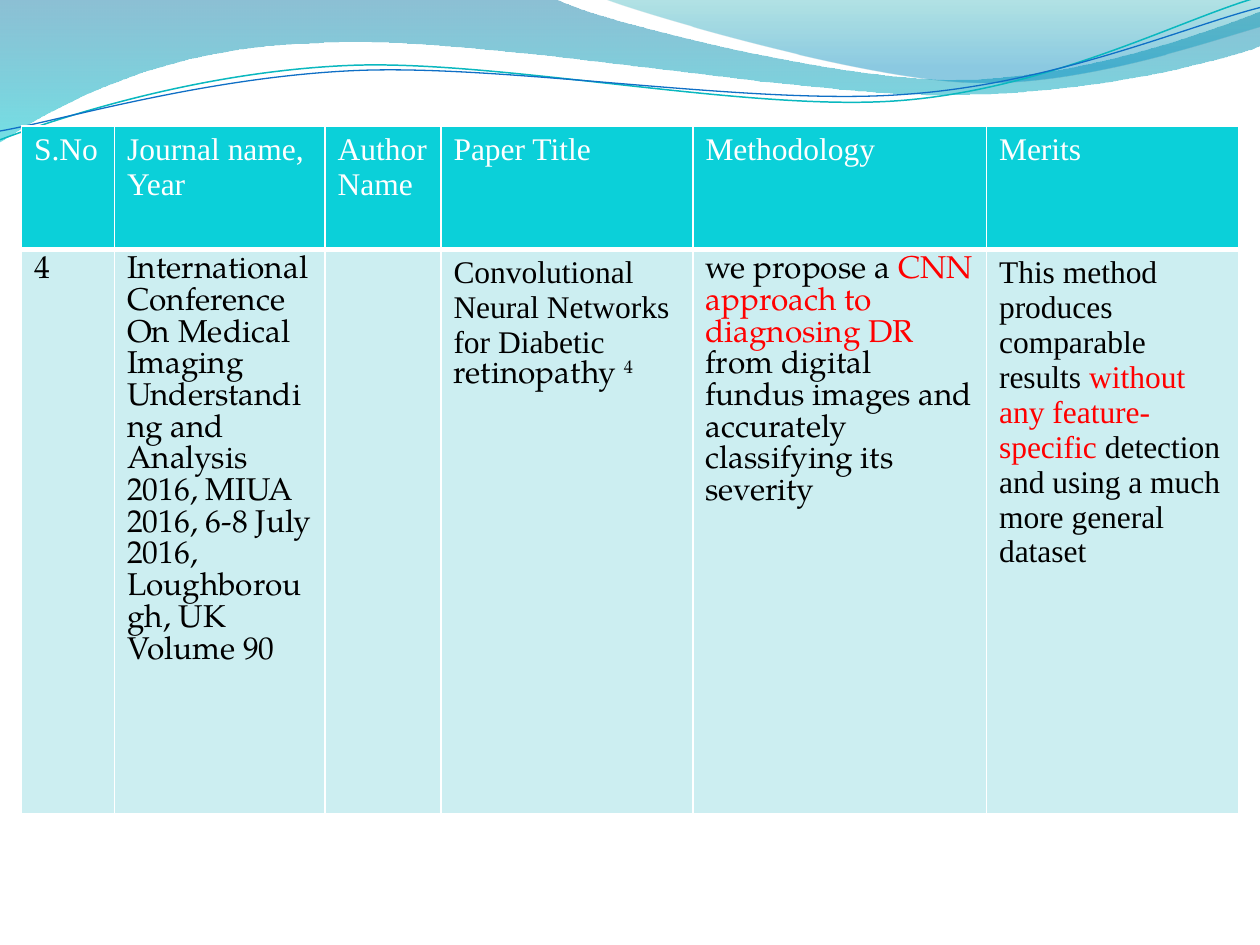
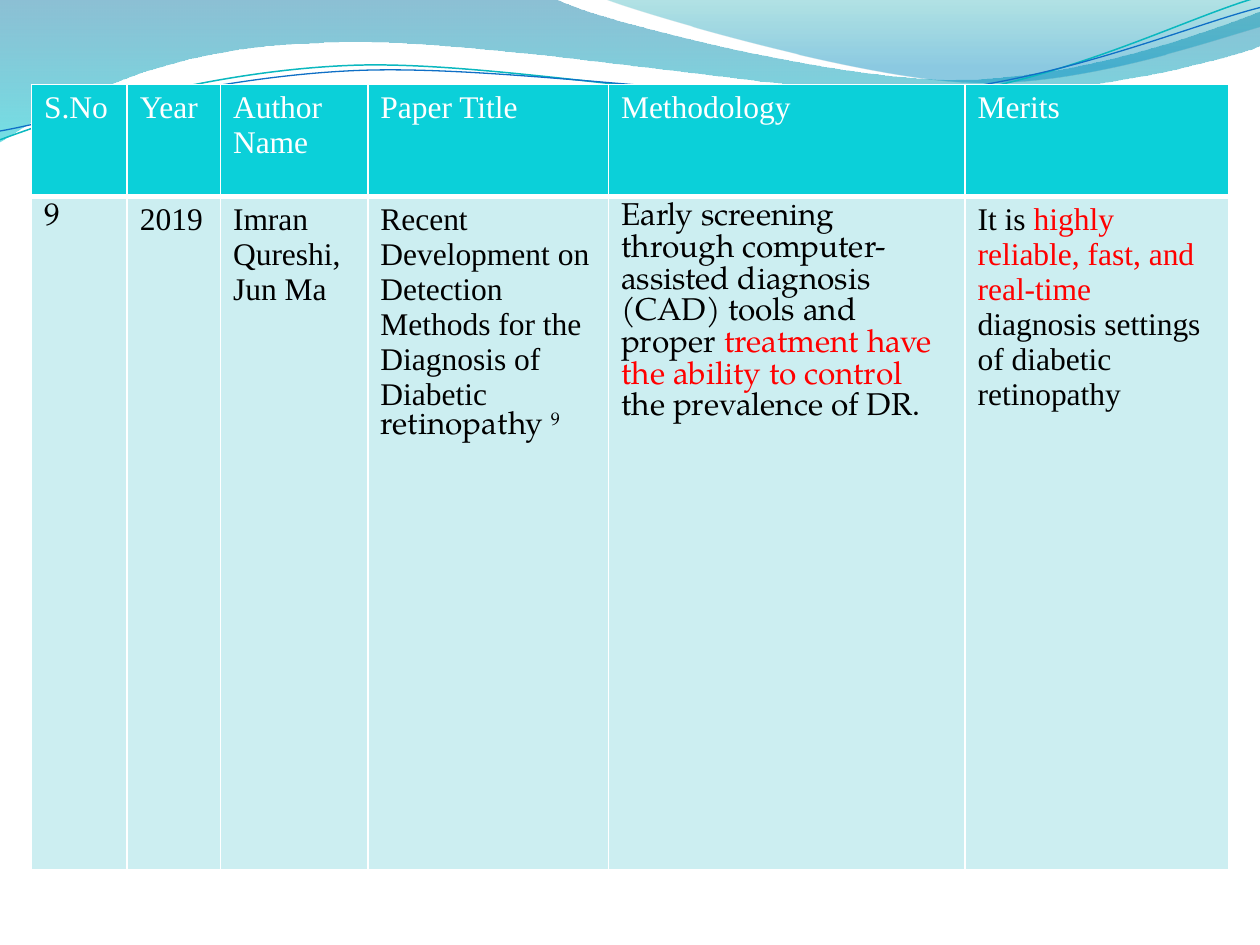
from dataclasses import dataclass

from lxml.etree import SubElement
from pptx import Presentation
from pptx.dml.color import RGBColor as RGB
from pptx.oxml.ns import qn
from pptx.util import Emu, Pt

PX = 9144  # EMU per px, 100 px to the inch


@dataclass(frozen=True)
class Theme:
    serif: str = "Times New Roman"
    book: str = "TeX Gyre Pagella"
    size: int = 18
    white: str = "FFFFFF"
    black: str = "000000"
    red: str = "FF0000"
    header: str = "0BD0D9"
    body: str = "CCEEF1"
    teal_line: str = "0AB8BF"
    blue_line: str = "0F6FC6"
    thin: int = 1
    thick: int = 3


T = Theme()

# Wave gradients: position, colour, opacity in percent
WIDE_GRADIENT = [(0, "0074A1", 45), (1, "00C6CF", 55)]
CORNER_GRADIENT = [(0, "00A1A9", 30), (0.8, "008BBF", 45)]

# Wave outlines: a start point, then lines (2 numbers) or curves (6 numbers)
WIDE_WAVE = [(0, 0), (440, -1), (476, 17, 664, 63, 758, 63),
             (853, 63, 958, 26, 1000, 9), (1001, 36),
             (983, 44, 870, 76, 746, 75), (622, 75, 382, 28, 257, 34),
             (129, 36, 46, 83, -1, 113)]
CORNER_WAVE = [(479, -1), (509, 11, 682, 62, 769, 65),
               (856, 69, 961, 32, 1000, 21), (1000, 0)]
TEAL_WAVE = [(0, 111), (48, 93, 158, 57, 277, 52),
             (395, 47, 593, 89, 713, 80), (833, 71, 938, 15, 998, -2)]
BLUE_WAVE = [(0, 104), (47, 96, 164, 61, 283, 56),
             (403, 51, 597, 84, 717, 75), (836, 67, 941, 21, 1000, 6)]


# Run styles
def serif(text, color=T.black):
    return text, T.serif, color, False


def book(text, color=T.black, raised=False):
    return text, T.book, color, raised


# Waves
def bend_lines(sp, outline):
    """Give the straight segments their curve control points."""
    left = min(seg[-2] for seg in outline)
    top = min(seg[-1] for seg in outline)
    lines = list(sp.element.iter(qn("a:lnTo")))
    for line, seg in zip(lines, outline[1:]):
        if len(seg) == 2:
            continue
        curve = SubElement(line.getparent(), qn("a:cubicBezTo"))
        for x, y in zip(seg[::2], seg[1::2]):
            SubElement(curve, qn("a:pt"), x=str(x - left), y=str(y - top))
        line.getparent().replace(line, curve)


def add_outline(s, outline, close):
    builder = s.shapes.build_freeform(*outline[0], scale=PX)
    builder.add_line_segments([seg[-2:] for seg in outline[1:]], close=close)
    sp = builder.convert_to_shape()
    bend_lines(sp, outline)
    sp.shadow.inherit = False
    return sp


def add_wave_band(s, outline, gradient):
    sp = add_outline(s, outline, close=True)
    sp.line.fill.background()
    sp.fill.gradient()
    sp.fill.gradient_angle = 270
    for stop, (position, color, _) in zip(sp.fill.gradient_stops, gradient):
        stop.position = position
        stop.color.rgb = RGB.from_string(color)
    colors = sp.element.iterfind(".//" + qn("a:gs") + "/" + qn("a:srgbClr"))
    for clr, (_, _, opacity) in zip(colors, gradient):
        SubElement(clr, qn("a:alpha"), val=str(opacity * 1000))
    return sp


def add_wave_line(s, outline, color, width):
    sp = add_outline(s, outline, close=False)
    sp.fill.background()
    sp.line.color.rgb = RGB.from_string(color)
    sp.line.width = Pt(width)
    return sp


def put_waves_on_layout(s):
    """Draw the waves once and hand them to the layout of the slide."""
    tree = s.slide_layout.shapes.element
    for ph in list(s.slide_layout.placeholders):
        tree.remove(ph.element)
    waves = [add_wave_band(s, WIDE_WAVE, WIDE_GRADIENT),
             add_wave_band(s, CORNER_WAVE, CORNER_GRADIENT),
             add_wave_line(s, TEAL_WAVE, T.teal_line, 0.85),
             add_wave_line(s, BLUE_WAVE, T.blue_line, 0.75)]
    for sp in waves:
        tree.append(sp.element)


# Tables
def set_borders(cell, bottom):
    tc_pr = cell._tc.get_or_add_tcPr()
    sides = {"L": T.thin, "R": T.thin, "T": T.thin, "B": bottom}
    for side, width in sides.items():
        ln = SubElement(tc_pr, qn("a:ln" + side), w=str(Pt(width)))
        fill = SubElement(ln, qn("a:solidFill"))
        SubElement(fill, qn("a:srgbClr"), val=T.white)


def write_cell(cell, paragraphs):
    tf = cell.text_frame
    for i, runs in enumerate(paragraphs):
        p = tf.add_paragraph() if i else tf.paragraphs[0]
        for text, font, color, raised in runs:
            r = p.add_run()
            r.text = text
            r.font.name = font
            r.font.size = Pt(T.size)
            r.font.bold = False
            r.font.color.rgb = RGB.from_string(color)
            if raised:
                r._r.get_or_add_rPr().set("baseline", "30000")


def style_cell(cell, fill, bottom):
    set_borders(cell, bottom)
    cell.fill.solid()
    cell.fill.fore_color.rgb = RGB.from_string(fill)


def add_paper_table(s, left, top, widths, heights, headings, entries):
    frame = s.shapes.add_table(
        2, len(widths), Emu(left * PX), Emu(top * PX),
        Emu(sum(widths) * PX), Emu(sum(heights) * PX))
    table = frame.table
    table.horz_banding = False
    for row, height in zip(table.rows, heights):
        row.height = Emu(height * PX)
    for i, width in enumerate(widths):
        table.columns[i].width = Emu(width * PX)
        head, body = table.cell(0, i), table.cell(1, i)
        style_cell(head, T.header, T.thick)
        style_cell(body, T.body, T.thin)
        write_cell(head, [[serif(headings[i], T.white)]])
        write_cell(body, entries[i])


# Content
SHARED_HEADINGS = ["Author Name", "Paper Title", "Methodology", "Merits"]

PAPER_4 = [
    [[book("4")]],
    [[book("International Conference On Medical Imaging Understanding and "
           "Analysis 2016, MIUA 2016, 6-8 July 2016, Loughborough, UK")],
     [book("Volume 90")]],
    [],
    [[serif("Convolutional Neural Networks for Diabetic "),
      book("retinopathy "), book("4", raised=True)]],
    [[book("we propose a "), book("CNN approach to diagnosing DR ", T.red),
      book("from digital fundus images and accurately classifying "
           "its severity")]],
    [[serif("This method produces comparable results "),
      serif("without any feature-specific ", T.red),
      serif("detection and using a much more general dataset")]],
]

PAPER_9 = [
    [[book("9")]],
    [[serif("2019")]],
    [[serif("Imran")], [serif("Qureshi, Jun Ma")]],
    [[serif("Recent Development on Detection Methods for the")],
     [serif("Diagnosis of Diabetic "), book("retinopathy "),
      book("9", raised=True)]],
    [[book("Early screening through computer-assisted diagnosis (CAD) tools "
           "and proper "),
      book("treatment have the ability to control", T.red),
      book(" the prevalence of DR.")]],
    [[serif("It is "), serif("highly reliable, fast, and real-time ", T.red),
      serif("diagnosis settings of diabetic retinopathy")]],
]


def main():
    prs = Presentation()
    prs.slide_width, prs.slide_height = Emu(1000 * PX), Emu(750 * PX)
    blank = prs.slide_layouts[6]

    # Slide 1: paper 4
    s = prs.slides.add_slide(blank)
    put_waves_on_layout(s)
    add_paper_table(s, 17, 100, [74, 167, 92, 200, 233, 200], [98, 448],
                    ["S.No", "Journal name, Year", *SHARED_HEADINGS], PAPER_4)

    # Slide 2: paper 9
    s = prs.slides.add_slide(blank)
    add_paper_table(s, 25, 67, [76, 74, 117, 191, 283, 209], [89, 534],
                    ["S.No", "Year", *SHARED_HEADINGS], PAPER_9)

    prs.save("out.pptx")


if __name__ == "__main__":
    main()
